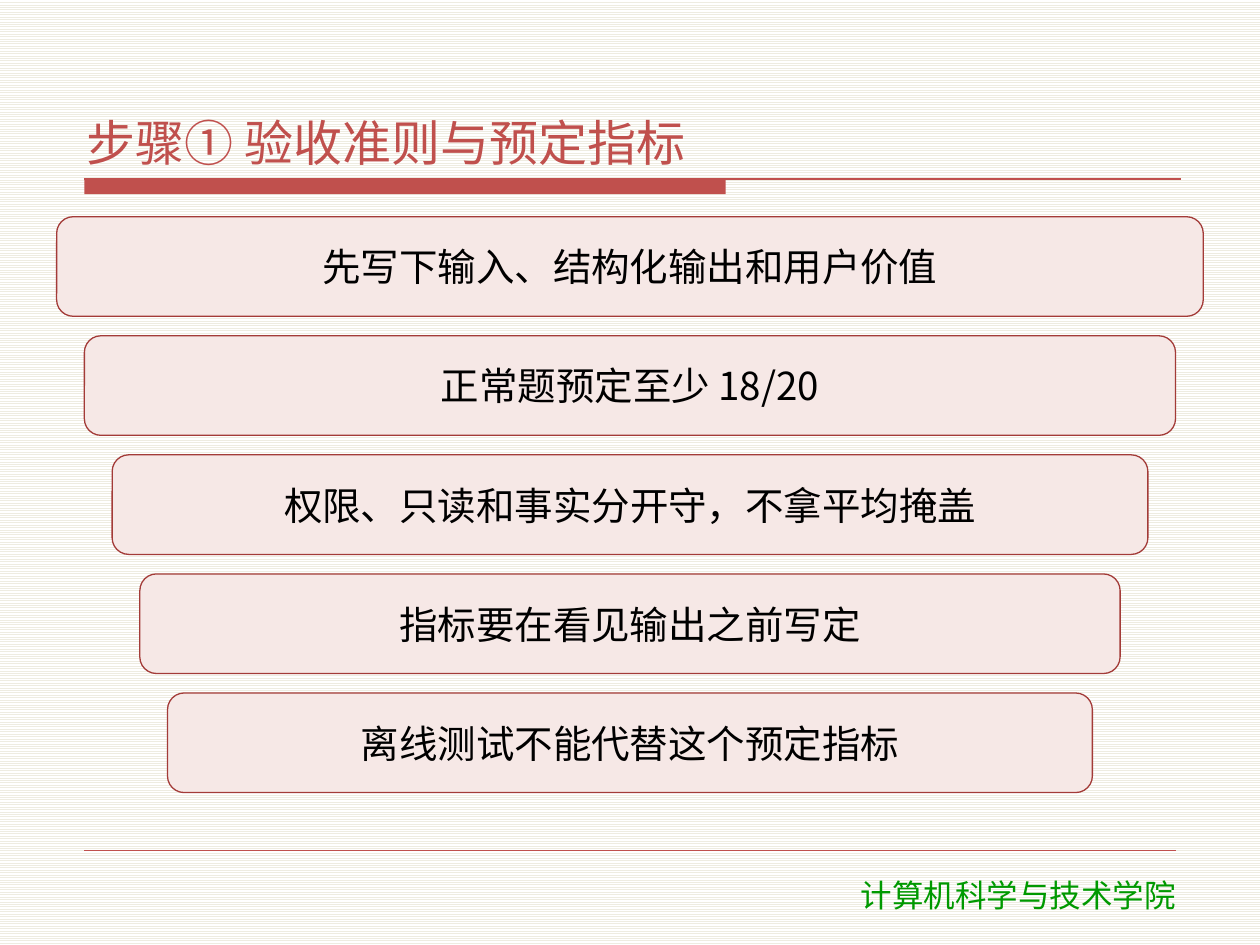
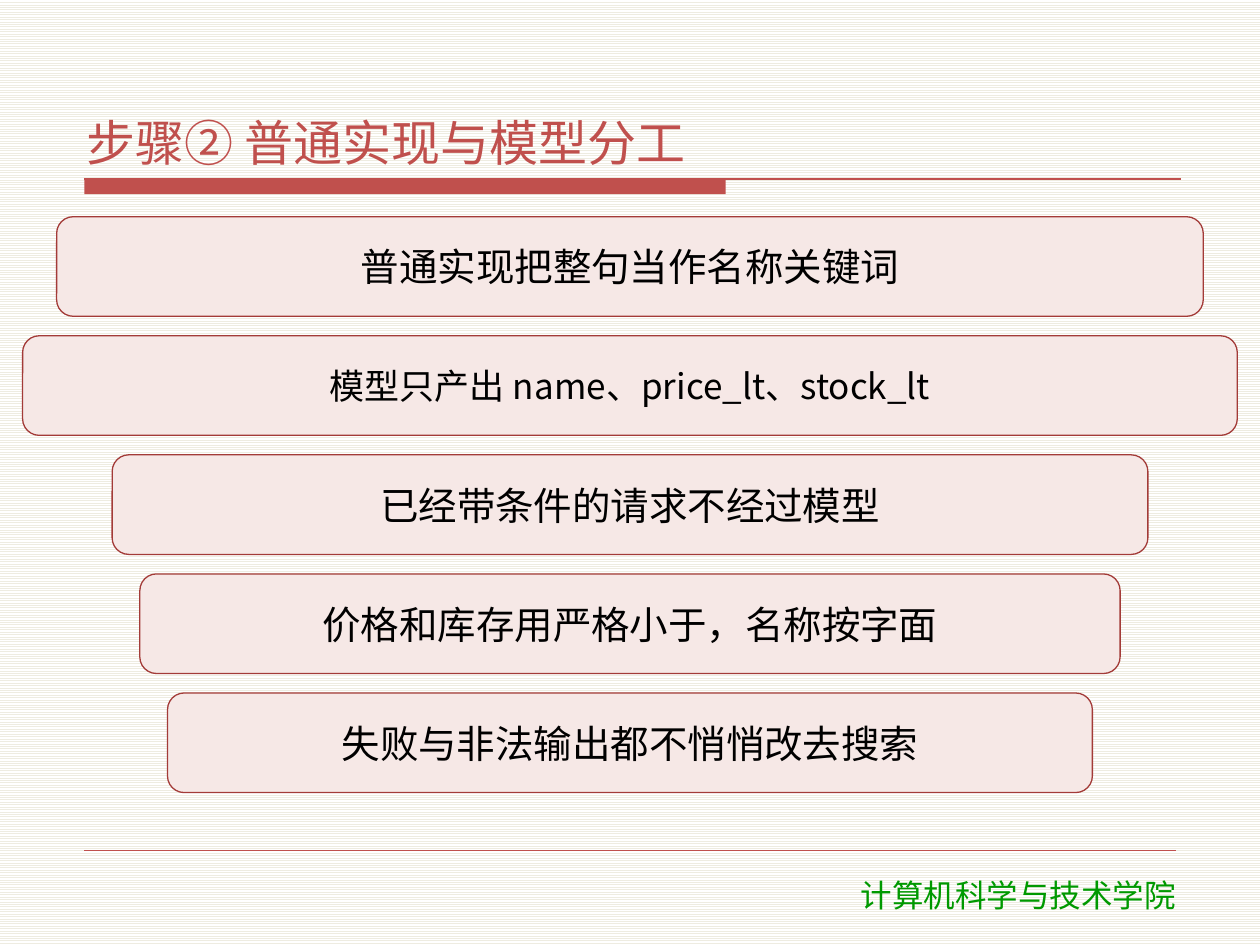
from dataclasses import dataclass

from lxml.etree import SubElement
from pptx import Presentation
from pptx.dml.color import RGBColor
from pptx.enum.dml import MSO_PATTERN
from pptx.enum.shapes import MSO_CONNECTOR, MSO_SHAPE
from pptx.enum.text import MSO_ANCHOR, MSO_AUTO_SIZE, PP_ALIGN
from pptx.oxml.ns import qn
from pptx.util import Inches, Pt

SLIDE_WIDTH, SLIDE_HEIGHT = Inches(10), Inches(7.5)
COLUMN, ROW = SLIDE_WIDTH / 100, SLIDE_HEIGHT / 75

COLORS = {
    "accent": "C0504D",
    "bar_fill": "F6E8E6",
    "bar_line": "A33B38",
    "bar_text": "000000",
    "school": "009900",
    "stripe": "EEECE1",
    "paper": "FFFFFF",
}
MAIN_FONT, FOOTER_FONT = "Noto Sans CJK SC", "DejaVu Sans"


@dataclass
class Box:
    left: float
    top: float
    width: float
    height: float

    def inset(self, columns):
        return Box(self.left + columns, self.top, self.width - 2 * columns, self.height)

    def band(self, index, count, gap):
        height = (self.height - gap * (count - 1)) / count
        return Box(self.left, self.top + index * (height + gap), self.width, height)

    def place(self):
        return (round(self.left * COLUMN), round(self.top * ROW),
                round(self.width * COLUMN), round(self.height * ROW))


TITLE_BOX = Box(6.3, 3.3, 87.5, 10.5)
RULE_BOX = Box(6.7, 14.2, 87, 1.2)
STACK_BOX = Box(4.5, 17.2, 91, 45.7)
FOOTER_BOX = Box(6.7, 67.5, 86.6, 5.5)
STACK_GAP, STACK_STEP = 1.55, 2.2
TIGHT_MARGIN = 0.2

TITLE_STYLE = {
    "frame": {"vertical_anchor": MSO_ANCHOR.BOTTOM},
    "para": {"alignment": PP_ALIGN.LEFT, "space_before": Pt(0), "space_after": Pt(2)},
    "font": {"size": Pt(28), "name": MAIN_FONT},
    "color": "accent",
}
BAR_STYLE = {
    "frame": {"vertical_anchor": MSO_ANCHOR.MIDDLE},
    "para": {"alignment": PP_ALIGN.CENTER, "space_after": Pt(2)},
    "font": {"size": Pt(22), "name": MAIN_FONT},
    "color": "bar_text",
}
TIGHT_BAR_STYLE = BAR_STYLE | {"font": {"size": Pt(20), "name": MAIN_FONT}}
FOOTER_STYLE = {
    "frame": {"vertical_anchor": MSO_ANCHOR.TOP},
    "para": {"alignment": PP_ALIGN.CENTER},
    "font": {"size": Pt(18), "name": FOOTER_FONT},
    "color": "school",
}

SCHOOL = "计算机科学与技术学院"
STEPS = [
    {
        "title": "步骤① 验收准则与预定指标",
        "points": [
            "先写下输入、结构化输出和用户价值",
            "正常题预定至少 18/20",
            "权限、只读和事实分开守，不拿平均掩盖",
            "指标要在看见输出之前写定",
            "离线测试不能代替这个预定指标",
        ],
        "wide": None,
    },
    {
        "title": "步骤② 普通实现与模型分工",
        "points": [
            "普通实现把整句当作名称关键词",
            "模型只产出 name、price_lt、stock_lt",
            "已经带条件的请求不经过模型",
            "价格和库存用严格小于，名称按字面",
            "失败与非法输出都不悄悄改去搜索",
        ],
        "wide": 1,
    },
]


def color(name):
    return RGBColor.from_string(COLORS[name])


def apply(target, values):
    for name, value in values.items():
        setattr(target, name, value)


def set_margins(frame, side, end):
    apply(frame, {
        "margin_left": round(side * COLUMN), "margin_right": round(side * COLUMN),
        "margin_top": round(end * ROW), "margin_bottom": round(end * ROW),
    })


def write(frame, text, style):
    apply(frame, {"word_wrap": True, "auto_size": MSO_AUTO_SIZE.NONE} | style["frame"])
    para = frame.paragraphs[0]
    apply(para, style["para"])
    span = para.add_run()
    span.text = text
    apply(span.font, style["font"])
    span.font.color.rgb = color(style["color"])
    SubElement(span.font._element, qn("a:ea"), typeface=MAIN_FONT)


def add_rule(page, box, weight):
    left, top, width, _ = box.place()
    rule = page.shapes.add_connector(MSO_CONNECTOR.STRAIGHT, left, top, left + width, top)
    rule.line.color.rgb = color("accent")
    rule.line.width = Pt(weight)
    SubElement(rule._element.spPr, qn("a:effectLst"))


def add_block(page, preset, box, fill):
    block = page.shapes.add_shape(preset, *box.place())
    block.shadow.inherit = False
    block.fill.solid()
    block.fill.fore_color.rgb = color(fill)
    return block


def place_title(page, box, text):
    title = page.shapes.title
    apply(title, dict(zip(("left", "top", "width", "height"), box.place())))
    set_margins(title.text_frame, 0.6, 0.2)
    write(title.text_frame, text, TITLE_STYLE)


def place_title_rule(page, box):
    thick = Box(box.left, box.top, box.width * 0.585, box.height)
    add_block(page, MSO_SHAPE.RECTANGLE, thick, "accent").line.fill.background()
    add_rule(page, box, 0.75)


def place_footer(page, box):
    add_rule(page, box, 0.25)
    label = Box(box.left + 54, box.top + 1.5, 40.2, box.height - 1.5)
    school = page.shapes.add_textbox(*label.place())
    write(school.text_frame, SCHOOL, FOOTER_STYLE)


def place_stack(page, box, points, wide):
    for index, point in enumerate(points):
        is_wide = index == wide
        indent = -2.7 if is_wide else index * STACK_STEP
        bar_box = box.band(index, len(points), STACK_GAP).inset(indent)
        bar = add_block(page, MSO_SHAPE.ROUNDED_RECTANGLE, bar_box, "bar_fill")
        bar.line.color.rgb = color("bar_line")
        bar.line.width = Pt(0.75)
        set_margins(bar.text_frame, TIGHT_MARGIN if is_wide else 0.6, TIGHT_MARGIN)
        write(bar.text_frame, point, TIGHT_BAR_STYLE if is_wide else BAR_STYLE)


def stripe_background(master):
    fill = master.background.fill
    fill.patterned()
    fill.pattern = MSO_PATTERN.LIGHT_HORIZONTAL
    fill.fore_color.rgb = color("stripe")
    fill.back_color.rgb = color("paper")


def add_step_page(deck, step):
    page = deck.slides.add_slide(deck.slide_layouts.get_by_name("Title Only"))
    place_title_rule(page, RULE_BOX)
    place_footer(page, FOOTER_BOX)
    place_title(page, TITLE_BOX, step["title"])
    place_stack(page, STACK_BOX, step["points"], step["wide"])


def main():
    deck = Presentation()
    apply(deck, {"slide_width": SLIDE_WIDTH, "slide_height": SLIDE_HEIGHT})
    stripe_background(deck.slide_master)
    for step in STEPS:
        add_step_page(deck, step)
    deck.save("out.pptx")


if __name__ == "__main__":
    main()
